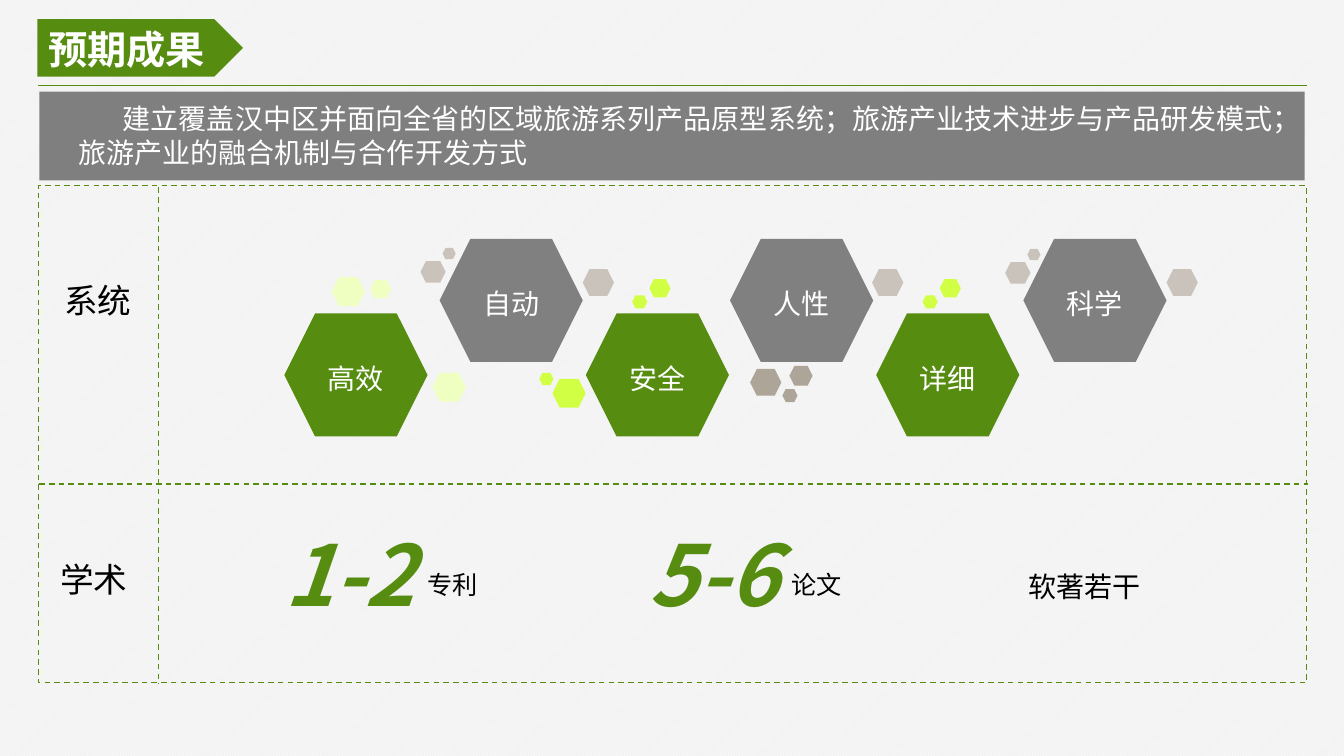
import pptx
import pptx.util
import pptx.dml.color
import pptx.enum.dml
import pptx.enum.shapes
import pptx.enum.text
import pptx.oxml.ns
from lxml import etree

FACE = "Noto Sans CJK SC"
GREEN, GREY, WHITE, BLACK = "568D11", "808080", "FFFFFF", "000000"
LIME, PALE, SAND, TAUPE = "D0FF44", "EFFFC1", "C9C3BB", "ADA598"

TITLE = "预期成果"
GOAL = ("建立覆盖汉中区并面向全省的区域旅游系列产品原型系统；"
        "旅游产业技术进步与产品研发模式；旅游产业的融合机制与合作开发方式")

# text, left, top
HEADS = [("系统", 0.54, 2.73), ("学术", 0.5, 5.5)]
# number, unit, left
COUNTS = [("1-2", "专利", 2.67), ("5-6", "论文", 6.28)]
# text, left; low and high in turn
TRAITS = [("高效", 2.82), ("自动", 4.36), ("安全", 5.81),
          ("人性", 7.24), ("详细", 8.69), ("科学", 10.15)]
LOW, HIGH, WIDE = 3.11, 2.37, 1.42
RATIO = 0.86  # height to width of a hexagon

# colour: (left, top, width) of each small hexagon
DOTS = {
    PALE: [(3.29, 2.75, 0.33), (4.29, 3.7, 0.33), (3.67, 2.78, 0.21)],
    LIME: [(5.48, 3.76, 0.33), (5.35, 3.7, 0.14),
           (6.44, 2.77, 0.21), (6.27, 2.93, 0.15),
           (9.32, 2.77, 0.21), (9.15, 2.93, 0.15)],
    SAND: [(4.39, 2.46, 0.13), (4.17, 2.59, 0.25), (5.78, 2.67, 0.31),
           (8.65, 2.67, 0.31), (10.19, 2.47, 0.13), (9.97, 2.6, 0.25),
           (11.57, 2.67, 0.31)],
    TAUPE: [(7.44, 3.66, 0.31), (7.83, 3.63, 0.23), (7.76, 3.86, 0.15)],
}

# x1, y1, x2, y2, dashed
RULES = [(0.38, 0.85, 12.96, 0.85, False),
         (0.39, 4.8, 12.97, 4.8, True),
         (1.57, 1.86, 1.57, 6.78, True)]

KIND = pptx.enum.shapes.MSO_SHAPE
ALIGN = pptx.enum.text.PP_ALIGN
inch = pptx.util.Inches


def paint(color, code):
    color.rgb = pptx.dml.color.RGBColor.from_string(code)


def ink(line, dash):
    line.width = pptx.util.Pt(1)
    line.fill.solid()
    paint(line.color, GREEN)
    if dash:
        line.dash_style = pptx.enum.dml.MSO_LINE.DASH


def write(shape, text, size, code, bold=False, slant=False, center=False):
    para = shape.text_frame.paragraphs[0]
    para.text = text
    para.alignment = ALIGN.CENTER if center else ALIGN.LEFT
    font = para.font
    font.size = pptx.util.Pt(size)
    font.bold, font.italic, font.name = bold, slant, FACE
    font.fill.solid()
    paint(font.color, code)
    props = para._p.pPr.find(pptx.oxml.ns.qn("a:defRPr"))
    etree.SubElement(props, pptx.oxml.ns.qn("a:ea"), typeface=FACE)
    return para


def label(slide, box, text, size, code, wrap=True, **style):
    shape = slide.shapes.add_textbox(*map(inch, box))
    shape.text_frame.word_wrap = wrap
    return write(shape, text, size, code, **style)


def solid(slide, kind, box, code=None):
    """Add a shape; with no colour it is a dashed frame."""
    shape = slide.shapes.add_shape(kind, *map(inch, box))
    shape.shadow.inherit = False
    if code:
        shape.fill.solid()
        paint(shape.fill.fore_color, code)
        shape.line.fill.background()
    else:
        shape.fill.background()
        ink(shape.line, True)
    return shape


def hexagon(slide, left, top, wide, code):
    return solid(slide, KIND.HEXAGON, (left, top, wide, wide * RATIO), code)


def rule(slide, x1, y1, x2, y2, dash):
    line = slide.shapes.add_connector(
        pptx.enum.shapes.MSO_CONNECTOR.STRAIGHT, *map(inch, (x1, y1, x2, y2)))
    ink(line.line, dash)
    etree.SubElement(line._element.spPr, pptx.oxml.ns.qn("a:effectLst"))


def main():
    deck = pptx.Presentation()
    deck.slide_width, deck.slide_height = inch(13.33), inch(7.5)
    slide = deck.slides.add_slide(deck.slide_layouts[6])
    back = slide.background.fill
    back.patterned()
    back.pattern = pptx.enum.dml.MSO_PATTERN.LIGHT_UPWARD_DIAGONAL
    paint(back.fore_color, WHITE)
    paint(back.back_color, "F2F2F2")

    solid(slide, KIND.RECTANGLE, (0.39, 0.91, 12.55, 0.88), "7F7F7F")
    solid(slide, KIND.PENTAGON, (0.37, 0.19, 2.04, 0.57), GREEN)
    label(slide, (0.38, 0.2, 1.76, 0.57), TITLE, 28, WHITE, bold=True)
    solid(slide, KIND.RECTANGLE, (0.38, 1.84, 12.58, 4.93))
    for ends in RULES:
        rule(slide, *ends)

    goal = label(slide, (0.68, 0.96, 12.14, 0.77), GOAL, 20, WHITE)
    goal._p.pPr.set("indent", str(inch(0.44)))

    for text, left, top in HEADS:
        label(slide, (left, top, 0.95, 0.5), text, 24, BLACK)
    for number, unit, left in COUNTS:
        label(slide, (left, 5.13, 1.59, 1.11), number, 60, GREEN,
              wrap=False, bold=True, slant=True, center=True)
        label(slide, (left + 1.47, 5.6, 0.8, 0.4), unit, 18, BLACK)
    label(slide, (10.1, 5.6, 1.31, 0.44), "软著若干", 20, BLACK, wrap=False)

    for code, spots in DOTS.items():
        for spot in spots:
            hexagon(slide, *spot, code)
    for i, (text, left) in enumerate(TRAITS):
        top, code = ((LOW, GREEN), (HIGH, GREY))[i % 2]
        shape = hexagon(slide, left, top, WIDE, code)
        shape.text_frame.vertical_anchor = pptx.enum.text.MSO_ANCHOR.MIDDLE
        write(shape, text, 20, WHITE, center=True).line_spacing = 1.2

    deck.save("out.pptx")


if __name__ == "__main__":
    main()
